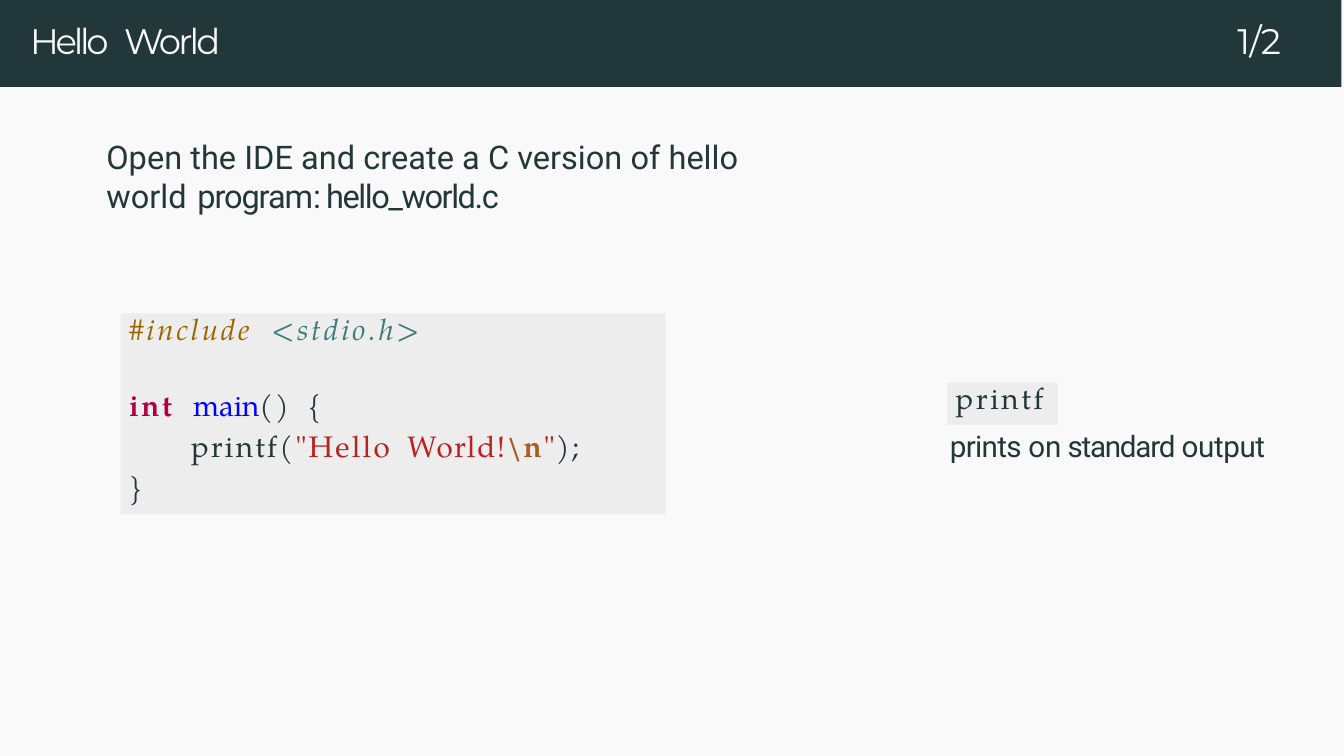
from dataclasses import dataclass
from typing import Optional

from pptx import Presentation
from pptx.dml.color import RGBColor
from pptx.enum.shapes import MSO_SHAPE
from pptx.enum.text import MSO_ANCHOR, MSO_AUTO_SIZE, PP_ALIGN
from pptx.util import Cm, Pt

COLOURS = {
    "background": "F9F9F9",
    "dark": "22373A",
    "code_box": "EDEDED",
    "directive": "9B6600",
    "header": "3D7A7A",
    "keyword": "AF003F",
    "function": "0000FF",
    "string": "BA2121",
    "escape": "AA5B1E",
}
CODE_FONT = "TeX Gyre Pagella"
TITLE_FONT = "Montserrat"
BODY_FONT = "Roboto"


@dataclass(frozen=True)
class Span:
    """A piece of text; spacing is the extra room between letters in points."""
    text: str
    spacing: float = 0
    colour: str = "dark"
    bold: bool = False
    italic: bool = False


@dataclass(frozen=True)
class Line:
    spans: list[Span]
    indent: float = 0.03
    space_before: float = 0.9
    height: Optional[float] = None


@dataclass(frozen=True)
class Box:
    left: float
    top: float
    width: float
    height: float

    def lengths(self) -> tuple:
        return Cm(self.left), Cm(self.top), Cm(self.width), Cm(self.height)


TITLE_BOX = Box(0.33, 0.2, 3.23, 0.56)
TITLE = [Line([Span("Hello", -1.1, "background"), Span(" ", 2, "background"),
               Span("World", -0.9, "background")])]
PAGE_BOX = Box(14.73, 0.2, 0.8, 0.58)
PAGE = [Line([Span("1/2", -0.2, "background")])]

TASK_BOX = Box(1.24, 1.6, 8.46, 0.97)
TASK = [Line([Span("Open the IDE and create a C version of hello world"),
              Span(" ", 0.8), Span("program", -0.4),
              Span(": hello_world.c", -0.5)])]

PROGRAM_BOX = Box(1.44, 3.74, 6.5, 2.4)
PROGRAM = [
    Line([Span("#include", 0.9, "directive", italic=True), Span(" ", 4),
          Span("<stdio.h>", 1, "header", italic=True)],
         indent=0.1, space_before=0, height=11.2),
    Line([Span("int", 0.9, "keyword", bold=True), Span(" ", 3.7),
          Span("main", 0, "function"), Span("()", 0.9), Span(" ", 3),
          Span("{", 1.4)], indent=0.1, space_before=13.6),
    Line([Span("printf(", 0.8), Span('"Hello', 0.8, "string"),
          Span(" ", 2.7), Span("World!", 0.6, "string"),
          Span("\\n", 0.6, "escape", bold=True), Span('"', 0.6, "string"),
          Span(");", 0.6)], indent=0.84, space_before=1.8),
    Line([Span("}", 1.9)], indent=0.1, space_before=1.8),
]

PRINTF_BOX = Box(11.3, 4.57, 1.32, 0.5)
PRINTF = [Line([Span("printf", 0.9)], indent=0.1, space_before=0, height=10.9)]
NOTE_BOX = Box(11.3, 5.08, 3.84, 0.48)
NOTE = [Line([Span("prints ", -0.2), Span("on"), Span(" standard ", -0.4),
              Span("output", -0.1)])]


def rgb(name: str) -> RGBColor:
    return RGBColor.from_string(COLOURS[name])


def write_text(shape, lines: list[Line], *, font: str, size: float,
               top_inset: float = 0.03) -> None:
    frame = shape.text_frame
    frame.word_wrap = True
    frame.auto_size = MSO_AUTO_SIZE.NONE
    frame.vertical_anchor = MSO_ANCHOR.TOP
    frame.margin_left = frame.margin_right = frame.margin_bottom = 0
    frame.margin_top = Cm(top_inset)
    for index, line in enumerate(lines):
        paragraph = frame.add_paragraph() if index else frame.paragraphs[0]
        paragraph.alignment = PP_ALIGN.LEFT
        paragraph.space_before = Pt(line.space_before)
        paragraph.line_spacing = Pt(line.height) if line.height else 1.0
        properties = paragraph._p.get_or_add_pPr()
        properties.set("marL", str(Cm(line.indent)))
        properties.set("indent", "0")
        for span in line.spans:
            run = paragraph.add_run()
            run.text = span.text
            run.font.name = font
            run.font.size = Pt(size)
            run.font.bold = span.bold
            run.font.italic = span.italic
            run.font.color.rgb = rgb(span.colour)
            run._r.get_or_add_rPr().set("spc", str(round(span.spacing * 100)))


def add_text(slide, box: Box, lines: list[Line], *, font: str, size: float) -> None:
    write_text(slide.shapes.add_textbox(*box.lengths()), lines, font=font, size=size)


def add_rectangle(slide, box: Box, colour: str):
    shape = slide.shapes.add_shape(MSO_SHAPE.RECTANGLE, *box.lengths())
    shape.shadow.inherit = False
    shape.fill.solid()
    shape.fill.fore_color.rgb = rgb(colour)
    shape.line.fill.background()
    return shape


def add_code(slide, box: Box, lines: list[Line]) -> None:
    shape = add_rectangle(slide, box, "code_box")
    write_text(shape, lines, font=CODE_FONT, size=10, top_inset=0)


def add_header(slide) -> None:
    bar = add_rectangle(slide, Box(0, 0, 16, 1.04), "dark")
    title = slide.shapes.title
    title.left, title.top, title.width, title.height = TITLE_BOX.lengths()
    title._element.addprevious(bar._element)
    write_text(title, TITLE, font=TITLE_FONT, size=12)
    add_text(slide, PAGE_BOX, PAGE, font=TITLE_FONT, size=12)


def main() -> None:
    presentation = Presentation()
    presentation.slide_width = Cm(16.03)
    presentation.slide_height = Cm(9.02)
    slide = presentation.slides.add_slide(
        presentation.slide_layouts.get_by_name("Title Only"))
    slide.background.fill.solid()
    slide.background.fill.fore_color.rgb = rgb("background")
    add_header(slide)
    add_text(slide, TASK_BOX, TASK, font=BODY_FONT, size=11)
    add_code(slide, PROGRAM_BOX, PROGRAM)
    add_code(slide, PRINTF_BOX, PRINTF)
    add_text(slide, NOTE_BOX, NOTE, font=BODY_FONT, size=10)
    presentation.save("out.pptx")


if __name__ == "__main__":
    main()
